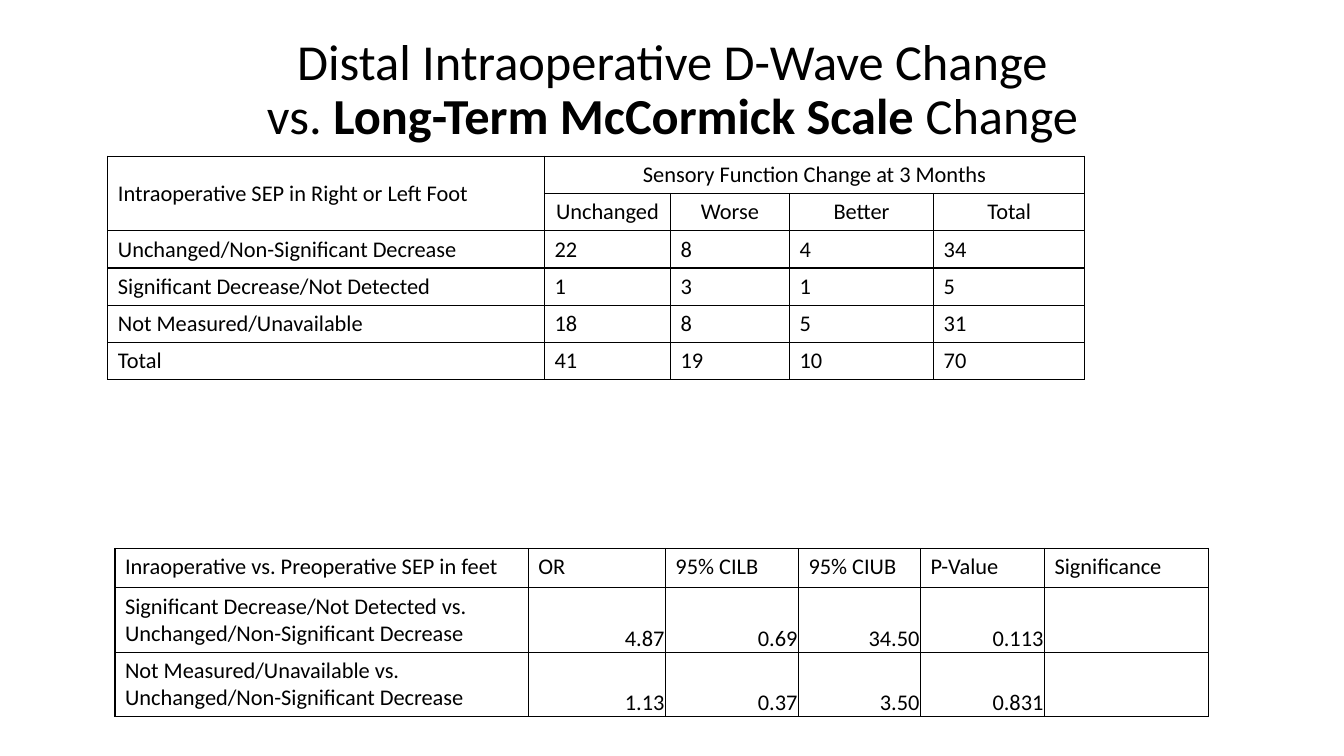
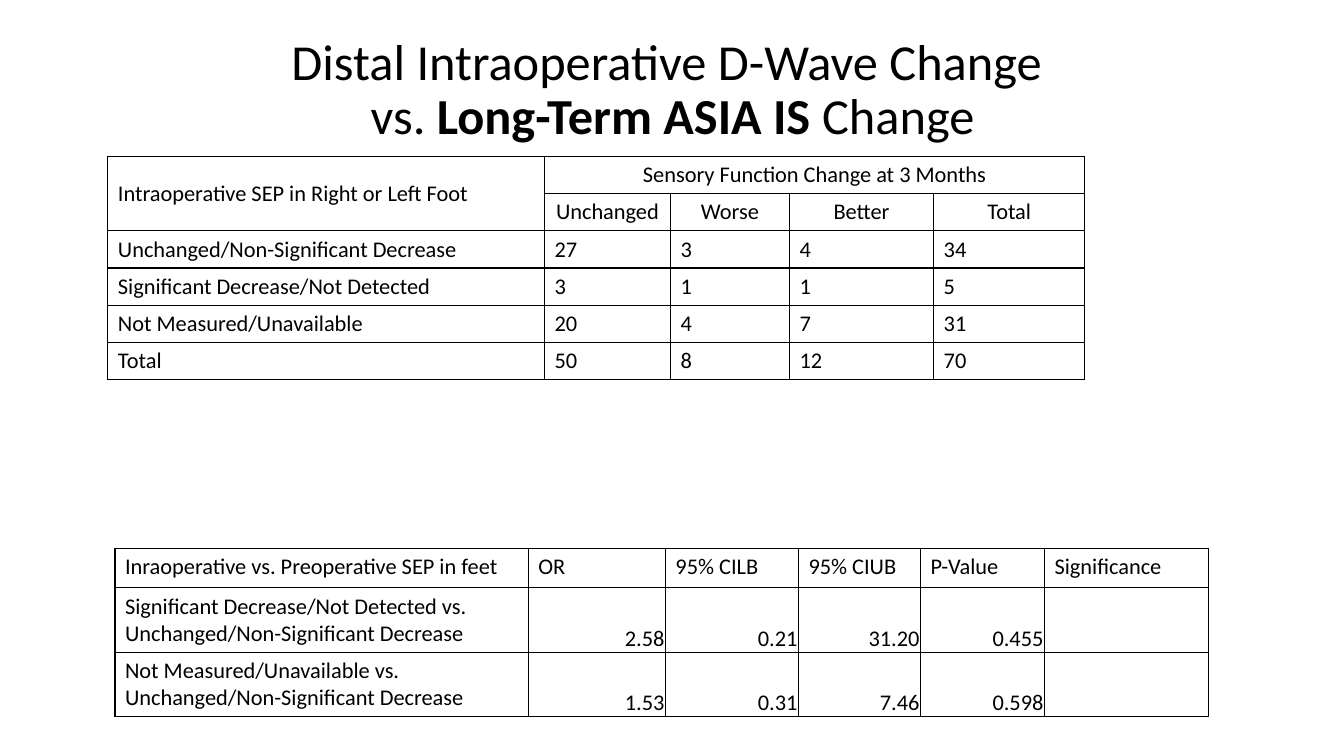
import pptx
import pptx.dml.color
import pptx.enum.text
import pptx.oxml
import pptx.oxml.ns
import pptx.util

Inches = pptx.util.Inches
Pt = pptx.util.Pt
ALIGN = pptx.enum.text.PP_ALIGN
ANCHOR = pptx.enum.text.MSO_ANCHOR

COLOURS = {"text": "000000", "border": "000000", "background": "FFFFFF"}

CELL_FORMATS = {
    "plain": {},
    "spanning label": {"vertical_anchor": ANCHOR.MIDDLE},
    "spanning heading": {"vertical_anchor": ANCHOR.MIDDLE, "alignment": ALIGN.CENTER},
    "heading": {"alignment": ALIGN.CENTER},
    "estimate": {
        "vertical_anchor": ANCHOR.BOTTOM, "alignment": ALIGN.RIGHT,
        "margin_left": Inches(0.01), "margin_top": Inches(0.01),
        "margin_right": Inches(0.01), "margin_bottom": 0,
    },
}

OUTCOMES = ("Unchanged", "Worse", "Better", "Total")
SEP_GROUPS = (
    "Unchanged/Non-Significant Decrease",
    "Significant Decrease/Not Detected",
    "Not Measured/Unavailable",
    "Total",
)
ODDS_HEADINGS = ("Inraoperative vs. Preoperative SEP in feet", "OR", "95% CILB",
                 "95% CIUB", "P-Value", "Significance")

SLIDES = [
    {
        "title": ("Distal Intraoperative D-Wave Change", "Long-Term McCormick Scale "),
        "counts": [(22, 8, 4, 34), (1, 3, 1, 5), (18, 8, 5, 31), (41, 19, 10, 70)],
        "odds": [("4.87", "0.69", "34.50", "0.113"), ("1.13", "0.37", "3.50", "0.831")],
    },
    {
        "title": ("Distal Intraoperative D-Wave Change ", "Long-Term ASIA IS "),
        "counts": [(27, 3, 4, 34), (3, 1, 1, 5), (20, 4, 7, 31), (50, 8, 12, 70)],
        "odds": [("2.58", "0.21", "31.20", "0.455"), ("1.53", "0.31", "7.46", "0.598")],
    },
]


def apply(target, values):
    for name, value in values.items():
        setattr(target, name, value)


def styled(style, *texts):
    """Pair each text with the name of its cell format."""
    return [(str(text), style) for text in texts]


class Deck:
    """Holds the shared style and the current slide."""

    font = "Calibri"
    title_size = Pt(36)
    table_size = Pt(16)
    border_width = Pt(1)

    def __init__(self):
        self.presentation = pptx.Presentation()
        apply(self.presentation, {"slide_width": Inches(13.33), "slide_height": Inches(7.5)})
        self.slide = None

    def new_slide(self):
        self.slide = self.presentation.slides.add_slide(self.presentation.slide_layouts[6])
        background = self.slide.background.fill
        background.solid()
        background.fore_color.rgb = pptx.dml.color.RGBColor.from_string(COLOURS["background"])

    def add_text(self, paragraph, text, size, bold=False):
        run = paragraph.add_run()
        run.text = text
        apply(run.font, {"name": self.font, "size": size, "bold": bold})
        run.font.color.rgb = pptx.dml.color.RGBColor.from_string(COLOURS["text"])

    def title(self, first_line, scale):
        frame = self.slide.shapes.add_textbox(
            Inches(0.92), Inches(0.29), Inches(11.5), Inches(1.23)).text_frame
        apply(frame, {"word_wrap": True, "vertical_anchor": ANCHOR.MIDDLE})
        heading = frame.paragraphs[0]
        apply(heading, {"alignment": ALIGN.CENTER, "line_spacing": 0.9})
        self.add_text(heading, first_line, self.title_size)
        heading.add_line_break()
        self.add_text(heading, "vs. ", self.title_size)
        self.add_text(heading, scale, self.title_size, bold=True)
        self.add_text(heading, "Change", self.title_size)

    def border(self, cell):
        properties = cell._tc.get_or_add_tcPr()
        for position, side in enumerate(("lnL", "lnR", "lnT", "lnB")):
            properties.insert(position, pptx.oxml.parse_xml(
                f'<a:{side} {pptx.oxml.ns.nsdecls("a")} w="{self.border_width}">'
                f'<a:solidFill><a:srgbClr val="{COLOURS["border"]}"/></a:solidFill>'
                f'</a:{side}>'))

    def cell(self, cell, text, style):
        cell.fill.background()
        self.border(cell)
        paragraph = cell.text_frame.paragraphs[0]
        for name, value in CELL_FORMATS[style].items():
            setattr(paragraph if name == "alignment" else cell, name, value)
        if text:
            self.add_text(paragraph, text, self.table_size)

    def table(self, left, top, widths, heights, rows, merges=()):
        """Draw rows of (text, format) pairs; merges are pairs of corner cells."""
        table = self.slide.shapes.add_table(
            len(heights), len(widths), Inches(left), Inches(top),
            Inches(sum(widths)), Inches(sum(heights))).table
        apply(table, {"first_row": False, "horz_banding": False})
        for column, width in zip(table.columns, widths):
            column.width = Inches(width)
        for row, height, contents in zip(table.rows, heights, rows):
            row.height = Inches(height)
            for cell, (text, style) in zip(row.cells, contents):
                self.cell(cell, text, style)
        for start, end in merges:
            table.cell(*start).merge(table.cell(*end))

    def counts_table(self, counts):
        rows = [
            styled("spanning label", "Intraoperative SEP in Right or Left Foot")
            + styled("spanning heading", "Sensory Function Change at 3 Months")
            + styled("plain", "", "", ""),
            styled("plain", "") + styled("heading", *OUTCOMES),
        ]
        rows += [styled("plain", group, *values) for group, values in zip(SEP_GROUPS, counts)]
        self.table(1.07, 1.55, (4.33, 1.25, 1.18, 1.43, 1.5), [0.37] * len(rows), rows,
                   merges=[((0, 0), (1, 0)), ((0, 1), (0, 4))])

    def odds_table(self, odds):
        rows = [styled("plain", *ODDS_HEADINGS)]
        for group, estimates in zip(SEP_GROUPS[1:3], odds):
            rows.append(styled("plain", f"{group} vs. {SEP_GROUPS[0]}")
                        + styled("estimate", *estimates) + styled("plain", ""))
        self.table(1.14, 5.44, (4.1, 1.36, 1.32, 1.21, 1.23, 1.63), (0.39, 0.64, 0.64), rows)


def main():
    deck = Deck()
    for content in SLIDES:
        deck.new_slide()
        deck.title(*content["title"])
        deck.counts_table(content["counts"])
        deck.odds_table(content["odds"])
    deck.presentation.save("out.pptx")


if __name__ == "__main__":
    main()
